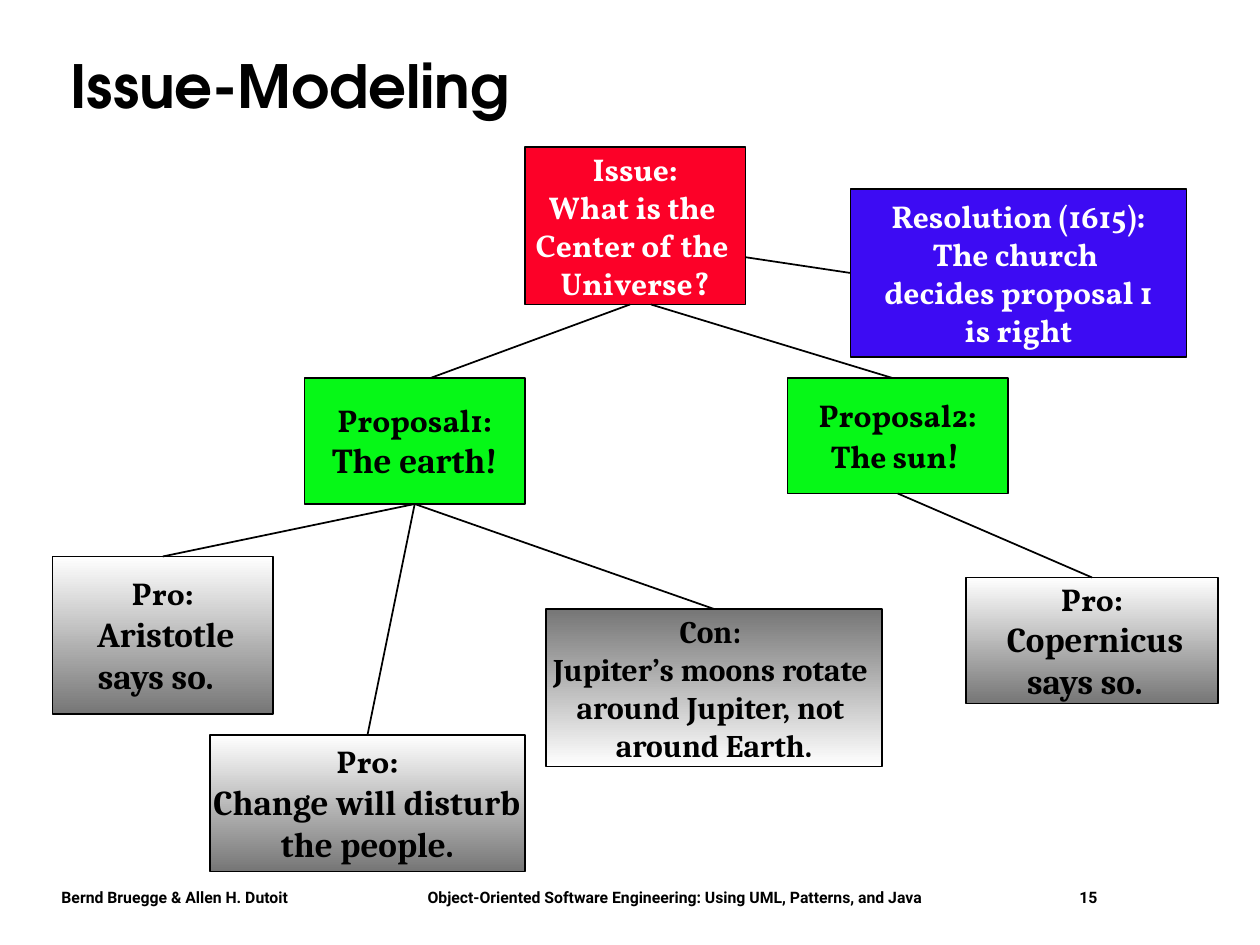
from lxml.etree import SubElement
from pptx import Presentation
from pptx.dml.color import RGBColor
from pptx.enum.shapes import MSO_CONNECTOR, MSO_SHAPE
from pptx.enum.text import MSO_ANCHOR as Anchor, PP_ALIGN as Align
from pptx.oxml.ns import qn
from pptx.util import Cm, Pt

COLORS = {
    "black": "000000", "white": "FFFFFF", "red": "FC0128",
    "green": "06F817", "blue": "3D0BF3", "grey": "767676",
}
GRID = Cm(2.54) / 12  # the diagram sits on a grid of twelve steps
SERIF = ("Vollkorn", 18)
LARGE = ("Cambria", 20)
SMALL = ("Cambria", 18)
FADE_DOWN = ("white", "grey")
FADE_UP = ("grey", "white")

# Box on the grid, fill, text colour, lines of (text, font) spans
NODES = [
    ((50, 14, 21, 15), "red", "white",
     [[("Issue:", SERIF)], [("What is the ", SERIF)],
      [("Center of the ", SERIF)], [("Universe?", SERIF)]]),
    ((29, 36, 21, 12), "green", "black",
     [[("Proposal1:", SERIF)],
      [(" ", SERIF), ("The earth!", LARGE), (" ", SERIF)]]),
    ((75, 36, 21, 11), "green", "black",
     [[("Proposal2:", SERIF)],
      [("The sun", SERIF), ("!", LARGE), (" ", SERIF)]]),
    ((92, 55, 24, 12), FADE_DOWN, "black",
     [[("Pro:", SERIF)], [(" ", SERIF), ("Copernicus", LARGE)],
      [("says so. ", LARGE), (" ", SERIF)]]),
    ((5, 53, 21, 15), FADE_DOWN, "black",
     [[("Pro:", SERIF)], [(" ", SERIF), ("Aristotle", LARGE)],
      [("says so. ", LARGE), (" ", SERIF)]]),
    ((20, 70, 30, 13), FADE_DOWN, "black",
     [[("Pro:", SERIF)], [(" ", SERIF), ("Change will disturb ", LARGE)],
      [("the people.", LARGE)]]),
    ((52, 58, 32, 15), FADE_UP, "black",
     [[("Con: ", SMALL)], [("Jupiter’s moons rotate ", SMALL)],
      [("around Jupiter, not ", SMALL)], [("around Earth.", SMALL)]]),
    ((81, 18, 32, 16), "blue", "white",
     [[("Resolution (1615):", SERIF)], [("The church ", SERIF)],
      [("decides proposal 1", SERIF)], [("is right", SERIF)]]),
]
LINKS = [
    (60, 29, 41, 36), (62, 29, 85, 36), (85.5, 47, 104, 55),
    (39.5, 48, 15.5, 53), (39.5, 48, 35, 70), (39.5, 48, 68, 58),
    (71, 24.5, 81, 26),
]


def rgb(name):
    return RGBColor.from_string(COLORS[name])


def add_span(para, text, font, color="black"):
    span = para.add_run()
    span.text = text
    span.font.name, size = font
    span.font.size = Pt(size)
    span.font.bold = True
    span.font.color.rgb = rgb(color)


def paint(fill, colors):
    """Fill with one colour, or fade from top to bottom between two."""
    if isinstance(colors, str):
        fill.solid()
        fill.fore_color.rgb = rgb(colors)
        return
    fill.gradient()
    fill.gradient_angle = 270
    for place, (stop, name) in enumerate(zip(fill.gradient_stops, colors)):
        stop.position = place
        stop.color.rgb = rgb(name)


def add_title(page, left, top, width, height):
    box = page.shapes.add_textbox(left, top, width, height)
    frame = box.text_frame
    frame.word_wrap = True
    frame.vertical_anchor = Anchor.MIDDLE
    para = frame.paragraphs[0]
    para.line_spacing = 0.9
    add_span(para, "Issue-Modeling", ("TeX Gyre Adventor", 34))


def add_footer(page, left, top, width, height):
    box = page.shapes.add_textbox(left, top, width, height)
    box.text_frame.word_wrap = True
    para = box.text_frame.paragraphs[0]
    tabs = SubElement(para._p.get_or_add_pPr(), qn("a:tabLst"))
    for stop in (Cm(7.38), Cm(20.52)):
        SubElement(tabs, qn("a:tab"), pos=str(stop), algn="l")
    parts = ("Bernd Bruegge & Allen H. Dutoit",
             "Object-Oriented Software Engineering: "
             "Using UML, Patterns, and Java", "15")
    add_span(para, "\t".join(parts), ("Roboto", 9))


def add_node(page, left, top, width, height, fill, color, lines):
    box = page.shapes.add_shape(MSO_SHAPE.RECTANGLE, left, top, width, height)
    box.shadow.inherit = False
    paint(box.fill, fill)
    box.line.color.rgb = rgb("black")
    box.line.width = Pt(1)
    frame = box.text_frame
    frame.word_wrap = False
    frame.vertical_anchor = Anchor.MIDDLE
    for index, spans in enumerate(lines):
        para = frame.add_paragraph() if index else frame.paragraphs[0]
        para.alignment = Align.CENTER
        for text, font in spans:
            add_span(para, text, font, color)


def add_link(page, *ends):
    link = page.shapes.add_connector(MSO_CONNECTOR.STRAIGHT, *ends)
    link.line.color.rgb = rgb("black")
    link.line.width = Pt(1)
    SubElement(link._element.spPr, qn("a:effectLst"))


def add_issue_tree(page, left, top):
    def place(x, y):
        return round(left + x * GRID), round(top + y * GRID)

    for (x, y, width, height), fill, color, lines in NODES:
        add_node(page, *place(x, y), round(width * GRID),
                 round(height * GRID), fill, color, lines)
    for x1, y1, x2, y2 in LINKS:
        add_link(page, *place(x1, y1), *place(x2, y2))


def main():
    deck = Presentation()
    deck.slide_width, deck.slide_height = Cm(25.4), Cm(19.05)
    page = deck.slides.add_slide(deck.slide_layouts[6])
    add_footer(page, Cm(0.99), Cm(17.78), Cm(23.29), Cm(0.64))
    add_title(page, Cm(1.17), Cm(0.61), Cm(22.66), Cm(2.39))
    add_issue_tree(page, Cm(0), Cm(0))
    deck.save("out.pptx")


if __name__ == "__main__":
    main()
